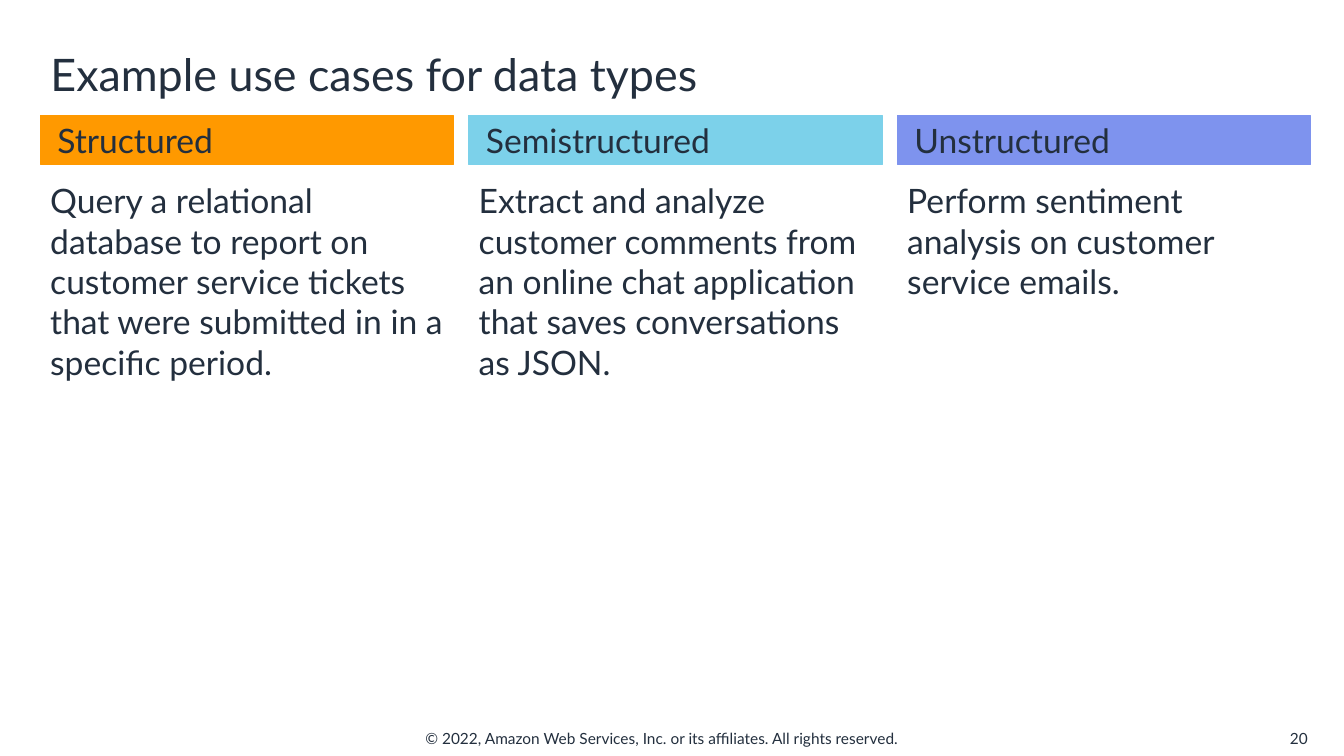
from dataclasses import dataclass

import pptx
import pptx.dml.color
import pptx.enum.shapes
import pptx.enum.text
import pptx.util
from pptx.util import Inches

ALIGN = pptx.enum.text.PP_ALIGN
ANCHOR = pptx.enum.text.MSO_ANCHOR


@dataclass(frozen=True)
class Theme:
    font: str = "Lato"
    ink: str = "232F3E"
    structured: str = "FF9900"
    semistructured: str = "7CD1EA"
    unstructured: str = "7E93EE"
    title_size: int = 32
    text_size: int = 24
    footer_size: int = 11


THEME = Theme()
MARGIN = 0.4
COLUMN_WIDTH = 4.1
COLUMN_PITCH = 4.25

COLUMNS = [
    ("Structured", THEME.structured,
     "Query a relational database to report on customer service tickets "
     "that were submitted in in a specific period."),
    ("Semistructured", THEME.semistructured,
     "Extract and analyze customer comments from an online chat application "
     "that saves conversations as JSON."),
    ("Unstructured", THEME.unstructured,
     "Perform sentiment analysis on customer service emails."),
]


def rgb(value):
    return pptx.dml.color.RGBColor.from_string(value)


def write_text(shape, text, size, anchor=ANCHOR.TOP, align=ALIGN.LEFT):
    frame = shape.text_frame
    frame.text = text
    frame.word_wrap = True
    frame.auto_size = pptx.enum.text.MSO_AUTO_SIZE.NONE
    frame.vertical_anchor = anchor
    paragraph = frame.paragraphs[0]
    paragraph.alignment = align
    for run in paragraph.runs:
        run.font.name = THEME.font
        run.font.size = pptx.util.Pt(size)
        run.font.color.rgb = rgb(THEME.ink)


def set_title(slide, text):
    title = slide.shapes.title
    title.left, title.top = Inches(MARGIN), Inches(0.33)
    title.width, title.height = Inches(12.65), Inches(0.8)
    write_text(title, text, THEME.title_size, ANCHOR.MIDDLE)


def add_text(slide, left, top, width, height, text, size, **layout):
    box = slide.shapes.add_textbox(
        Inches(left), Inches(top), Inches(width), Inches(height))
    write_text(box, text, size, **layout)


def add_heading(slide, left, text, color):
    heading = slide.shapes.add_shape(
        pptx.enum.shapes.MSO_SHAPE.RECTANGLE,
        Inches(left), Inches(1.15), Inches(COLUMN_WIDTH), Inches(0.48))
    heading.shadow.inherit = False
    heading.fill.solid()
    heading.fill.fore_color.rgb = rgb(color)
    heading.line.color.rgb = rgb(color)
    heading.line.width = pptx.util.Pt(0.75)
    write_text(heading, text, THEME.text_size, ANCHOR.MIDDLE)
    heading.text_frame.margin_left = Inches(0.17)


def add_column(slide, left, heading, color, body):
    add_heading(slide, left, heading, color)
    add_text(slide, left, 1.74, COLUMN_WIDTH, 5.3, body, THEME.text_size)


def add_footer(slide, notice, number):
    add_text(slide, 4.12, 7.18, 5.09, 0.29, notice, THEME.footer_size)
    add_text(slide, 12.54, 7.18, 0.53, 0.29, number, THEME.footer_size,
             anchor=ANCHOR.MIDDLE, align=ALIGN.RIGHT)


def main():
    presentation = pptx.Presentation()
    presentation.slide_width = Inches(13.33)
    presentation.slide_height = Inches(7.5)
    slide = presentation.slides.add_slide(presentation.slide_layouts[5])
    set_title(slide, "Example use cases for data types")
    for index, column in enumerate(COLUMNS):
        add_column(slide, MARGIN + index * COLUMN_PITCH, *column)
    add_footer(
        slide,
        "© 2022, Amazon Web Services, Inc. or its affiliates. All rights reserved.",
        "20")
    presentation.save("out.pptx")


if __name__ == "__main__":
    main()
